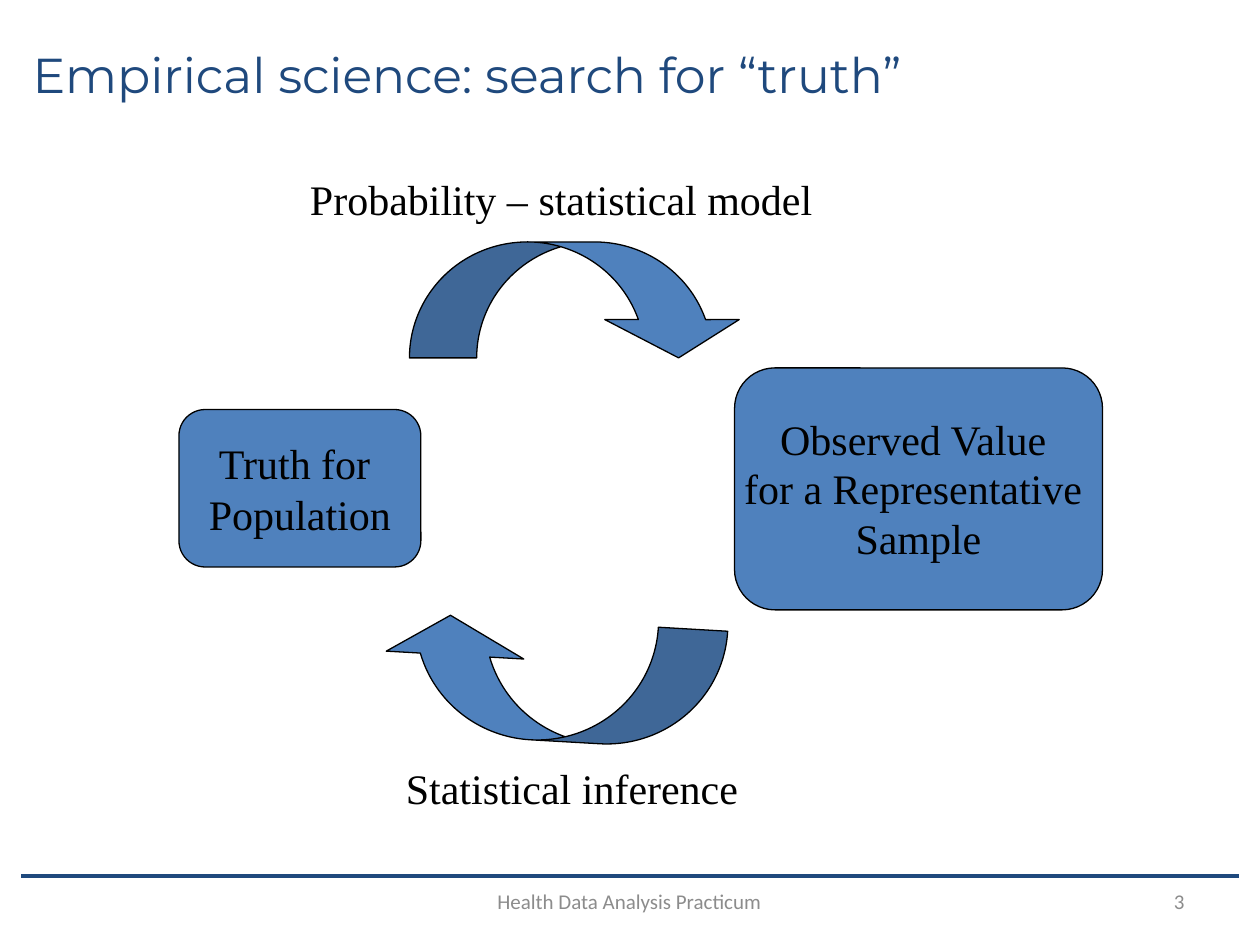
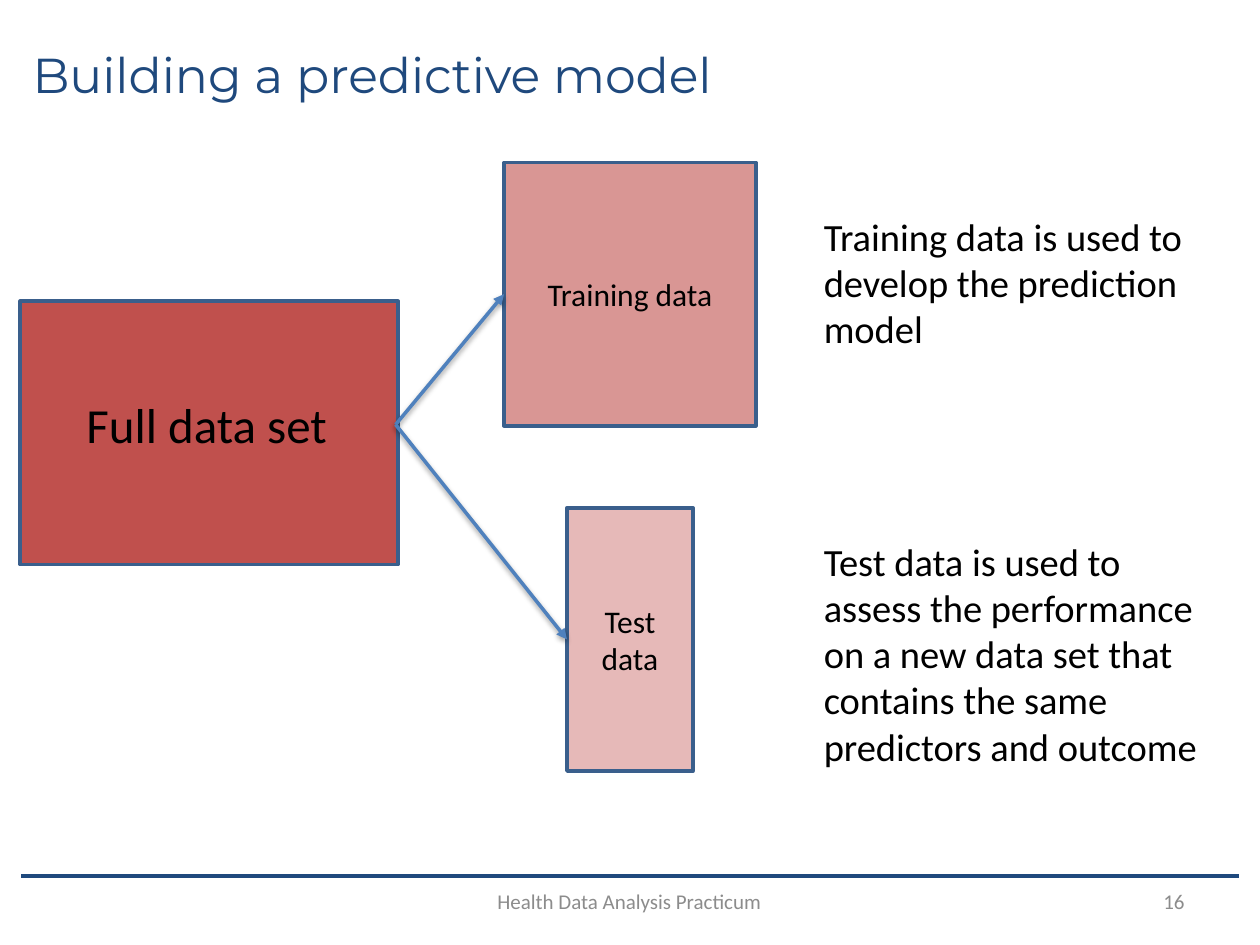
from lxml import etree
from pptx import Presentation
from pptx import util as u
from pptx.dml.color import RGBColor
from pptx.enum import shapes, text
from pptx.oxml import ns

PX = 9144  # EMU per px, 100 px to the inch


class Theme:
    navy, blue, edge = "1F497D", "4F81BD", "3A5F8C"
    red, rose, pink = "C0504D", "D99694", "E6B9B8"
    black, grey = "000000", "8C8C8C"
    head = dict(name="Montserrat", size=u.Pt(28), color=navy)
    serif = dict(name="Times New Roman", size=u.Pt(24), color=black)
    big = dict(name="Calibri", size=u.Pt(28), color=black)
    body = dict(name="Calibri", size=u.Pt(22), color=black)
    label = dict(name="Calibri", size=u.Pt(18), color=black)
    foot = dict(name="Calibri", size=u.Pt(12), color=grey)


KIND = shapes.MSO_SHAPE
LEFT, MID, RIGHT = text.PP_ALIGN.LEFT, text.PP_ALIGN.CENTER, text.PP_ALIGN.RIGHT
CENTRE = dict(vertical_anchor=text.MSO_ANCHOR.MIDDLE, word_wrap=True)
LOOSE = dict(CENTRE, word_wrap=False)
WRAP = dict(word_wrap=True)
GROW = dict(WRAP, auto_size=text.MSO_AUTO_SIZE.SHAPE_TO_FIT_TEXT)


def write(shape, lines, font, frame=WRAP, **para):
    """Fill a shape with one paragraph per line, all in one format."""
    tf = shape.text_frame
    for key, val in frame.items():
        setattr(tf, key, val)
    tf.text = "\n".join(lines)
    for p in tf.paragraphs:
        for key, val in para.items():
            setattr(p, key, val)
        for key, val in font.items():
            if key == "color":
                p.font.color.rgb = RGBColor.from_string(val)
            else:
                setattr(p.font, key, val)


def draw(slide, kind, at, fill, edge, width):
    """Add a preset shape, or a straight line if it has no fill."""
    ends = [n * PX for n in at]
    if fill:
        shape = slide.shapes.add_shape(kind, *ends)
        shape.shadow.inherit = False
        shape.fill.solid()
        shape.fill.fore_color.rgb = RGBColor.from_string(fill)
    else:
        shape = slide.shapes.add_connector(kind, *ends)
        etree.SubElement(shape.line._get_or_add_ln().getparent(), ns.qn("a:effectLst"))
    shape.line.color.rgb = RGBColor.from_string(edge)
    shape.line.width = u.Pt(width)
    return shape


deck = Presentation()
deck.slide_width, deck.slide_height = 1000 * PX, 750 * PX

# Shared title, rule and footer
pages = []
for title, num in (("Empirical science: search for “truth”", "3"),
                   ("Building a predictive model", "16")):
    page = deck.slides.add_slide(deck.slide_layouts[6])
    draw(page, shapes.MSO_CONNECTOR.STRAIGHT, (17, 695, 983, 695), None, Theme.navy, 2.5)
    for line, at, font, side in (
            (title, (16, 14, 962, 90), Theme.head, LEFT),
            (num, (717, 695, 233, 40), Theme.foot, RIGHT),
            ("Health Data Analysis Practicum", (283, 695, 433, 40), Theme.foot, MID)):
        note = page.shapes.add_textbox(*[n * PX for n in at])
        write(note, [line], font, CENTRE, alignment=side)
    pages.append(page)
cycle, split = pages

# Cycle between truth and sample
for lines, at, gap in (
        (["Truth for ", "Population"], (142, 325, 192, 125), 29),
        (["Observed Value ", "for a Representative ", "Sample"], (583, 292, 292, 192), 28)):
    node = draw(cycle, KIND.FLOWCHART_ALTERNATE_PROCESS, at, Theme.blue, Theme.black, 0.75)
    write(node, lines, Theme.serif, LOOSE, alignment=MID, line_spacing=u.Pt(gap))

for kind, at, turn, bends in (
        (KIND.CURVED_DOWN_ARROW, (325, 192, 267, 92), 0, (0.58, 1.16, 0.33)),
        (KIND.CURVED_LEFT_ARROW, (390, 403, 95, 275), 93.3, (0.58, 1.15, 0.33))):
    arrow = draw(cycle, kind, at, Theme.blue, Theme.black, 0.75)
    arrow.rotation = turn
    for i, bend in enumerate(bends):
        arrow.adjustments[i] = bend

for line, at in (("Probability – statistical model", (233, 133, 425, 50)),
                 ("Statistical inference", (283, 600, 342, 50))):
    note = cycle.shapes.add_textbox(*[n * PX for n in at])
    write(note, [line], Theme.serif, GROW, alignment=MID, space_before=u.Pt(3))

# Full data set split in two
draw(split, KIND.RECTANGLE, (16, 239, 300, 209), Theme.red, Theme.edge, 2)
parts = []
for line, at, fill in (("Training data", (400, 129, 200, 209), Theme.rose),
                       ("Test data", (450, 403, 100, 209), Theme.pink)):
    part = draw(split, KIND.RECTANGLE, at, fill, Theme.edge, 2)
    write(part, [line], Theme.label, CENTRE, alignment=MID)
    parts.append(part)

for part in parts:
    arrow = draw(split, shapes.MSO_CONNECTOR.STRAIGHT, (314, 337, 400, 337), None, Theme.blue, 2)
    arrow.end_connect(part, 1)
    etree.SubElement(arrow.line._get_or_add_ln(), ns.qn("a:tailEnd"), type="triangle")
    glow = arrow._element.spPr.find(ns.qn("a:effectLst"))
    shade = etree.SubElement(glow, ns.qn("a:outerShdw"), blurRad="40000", dist="20000",
                             dir="5400000", rotWithShape="0")
    tint = etree.SubElement(shade, ns.qn("a:srgbClr"), val=Theme.black)
    etree.SubElement(tint, ns.qn("a:alpha"), val="38000")

for line, at, font, frame, side in (
        ("Full data set", (14, 308, 300, 57), Theme.big, GROW, MID),
        ("Training data is used to develop the prediction model",
         (644, 164, 306, 137), Theme.body, WRAP, LEFT),
        ("Test data is used to assess the performance on a new data set that "
         "contains the same predictors and outcome",
         (644, 422, 334, 183), Theme.body, WRAP, LEFT)):
    note = split.shapes.add_textbox(*[n * PX for n in at])
    write(note, [line], font, frame, alignment=side)

deck.save("out.pptx")
